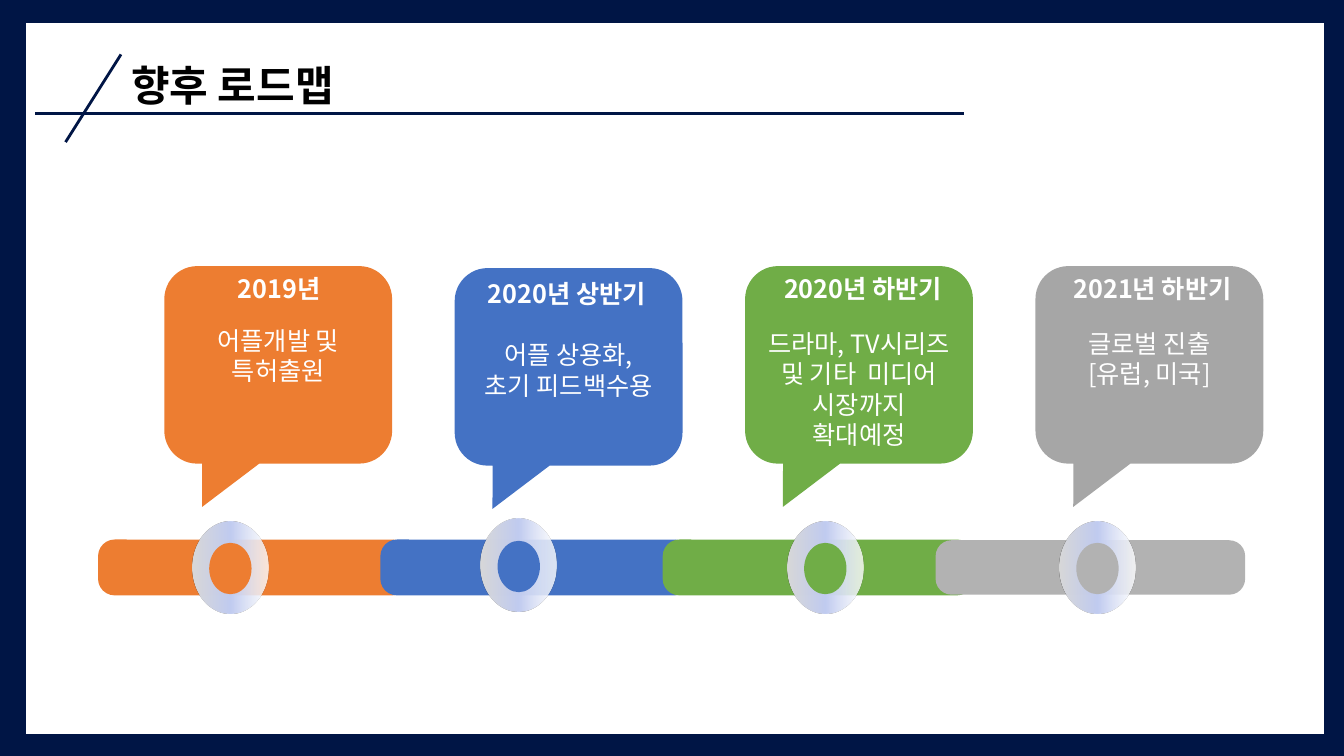
from dataclasses import dataclass
from lxml.etree import SubElement
from pptx import Presentation
from pptx.dml.color import RGBColor
from pptx.enum.shapes import MSO_CONNECTOR as Connector, MSO_SHAPE as Shape
from pptx.enum.text import MSO_ANCHOR as Anchor, PP_ALIGN as Align
from pptx.oxml import parse_xml
from pptx.oxml.ns import nsdecls, qn
from pptx.util import Inches, Pt

TITLE = "향후 로드맵"
STAGES = [
    dict(period="2019년", plan=["어플개발 및", "특허출원"], color="ED7D31", bar_color="ED7D31",
         bar_left=0.98, ring_left=1.91, shift=0, period_at=(1.76, 2.66), plan_top=3.18, outlined=True),
    dict(period="2020년 상반기", plan=["어플 상용화,", "초기 피드백수용"], color="4472C4", bar_color="4472C4",
         bar_left=3.78, ring_left=4.77, shift=-0.02, period_at=(4.61, 2.71), plan_top=3.32, outlined=True),
    dict(period="2020년 하반기", plan=["드라마, TV시리즈", "및 기타  미디어 시장까지", "확대예정"],
         color="70AD47", bar_color="70AD47",
         bar_left=6.58, ring_left=7.81, shift=0, period_at=(7.55, 2.66), plan_top=3.21, outlined=True),
    dict(period="2021년 하반기", plan=["글로벌 진출", "[유럽, 미국]"], color="A6A6A6", bar_color="B2B2B2",
         bar_left=9.28, ring_left=10.51, shift=0, period_at=(10.42, 2.66), plan_top=3.21, outlined=False),
]
RULES = [(9.56, 1.13, 0.35, 1.13), (0.65, 1.41, 1.2, 0.54)]
WIDTH, HEIGHT = 13.33, 7.5
CALLOUT_LEFT, CALLOUT_PITCH, CALLOUT_TOP = 1.63, 2.88, 2.64
CALLOUT_SIZE = (2.26, 1.96)
BAR_TOP, BAR_SIZE = 5.36, (3.07, 0.54)
RING_TOP, RING_SIZE, HOLE_SIZE = 5.17, (0.75, 0.92), (0.42, 0.51)


@dataclass(frozen=True)
class Theme:
    navy: str = "001545"
    white: str = "FFFFFF"
    black: str = "000000"
    ring: tuple = ((0, "D9D9D9", 100), (50, "C0CBF0", 100), (100, "FFFFFF", 80))
    font: str = "Noto Sans CJK KR"
    title_size: int = 30
    text_size: int = 18


theme = Theme()


def rgb(color):
    return RGBColor.from_string(color)


def write_text(shape, lines, size=theme.text_size, color=theme.white, bold=False, align=Align.CENTER):
    frame = shape.text_frame
    frame.word_wrap = True
    frame.vertical_anchor = Anchor.TOP
    frame.text = "\n".join(lines)
    for paragraph in frame.paragraphs:
        paragraph.alignment = align
        paragraph.line_spacing = 1.0
        paragraph.space_before = Pt(0)
        for run in paragraph.runs:
            run.font.size = Pt(size)
            run.font.bold = bold
            run.font.color.rgb = rgb(color)
            run.font.name = theme.font
            east_asian = SubElement(run.font._element, qn("a:ea"))
            east_asian.set("typeface", theme.font)


def add_text(slide, left, top, width, height, lines, **style):
    box = slide.shapes.add_textbox(*map(Inches, (left, top, width, height)))
    write_text(box, lines, **style)


def add_block(slide, kind, left, top, size, color, adjustments=(), outlined=False):
    shape = slide.shapes.add_shape(kind, *map(Inches, (left, top, *size)))
    shape.shadow.inherit = False
    shape.fill.solid()
    shape.fill.fore_color.rgb = rgb(color)
    for index, value in enumerate(adjustments):
        shape.adjustments[index] = value
    if outlined:
        shape.line.color.rgb = rgb(color)
        shape.line.width = Pt(1)
    else:
        shape.line.fill.background()
    return shape


def apply_gradient(shape, stops):
    marks = "".join(
        f'<a:gs pos="{place * 1000}"><a:srgbClr val="{color}"><a:alpha val="{alpha * 1000}"/></a:srgbClr></a:gs>'
        for place, color, alpha in stops)
    gradient = parse_xml(f'<a:gradFill {nsdecls("a")} rotWithShape="1"><a:gsLst>{marks}</a:gsLst>'
                         '<a:lin ang="0" scaled="0"/></a:gradFill>')
    properties = shape._element.spPr
    properties.replace(properties.find(qn("a:solidFill")), gradient)


def add_rule(slide, ends):
    rule = slide.shapes.add_connector(Connector.STRAIGHT, *map(Inches, ends))
    rule.line.color.rgb = rgb(theme.navy)
    rule.line.width = Pt(2)
    SubElement(rule._element.spPr, qn("a:effectLst"))


def add_frame(slide):
    slide.background.fill.solid()
    slide.background.fill.fore_color.rgb = rgb(theme.navy)
    panel = add_block(slide, Shape.RECTANGLE, 0.26, 0.23, (12.87, 7.05), theme.white)
    title = slide.shapes.title
    title._element.addprevious(panel._element)
    for ends in RULES:
        add_rule(slide, ends)
    title.left, title.top, title.width, title.height = map(Inches, (1.2, 0.54, 8.67, 0.61))
    write_text(title, [TITLE], size=theme.title_size, color=theme.black, bold=True, align=Align.LEFT)


def add_ring(slide, stage):
    left, top = stage["ring_left"], RING_TOP + stage["shift"]
    ring = add_block(slide, Shape.OVAL, left, top, RING_SIZE, theme.white)
    apply_gradient(ring, theme.ring)
    inset_x, inset_y = ((outer - inner) / 2 for outer, inner in zip(RING_SIZE, HOLE_SIZE))
    add_block(slide, Shape.OVAL, left + inset_x, top + inset_y + 0.01, HOLE_SIZE, stage["bar_color"])


def add_callout(slide, column, stage):
    left = CALLOUT_LEFT + column * CALLOUT_PITCH
    add_block(slide, Shape.ROUNDED_RECTANGULAR_CALLOUT, left, CALLOUT_TOP - stage["shift"],
              CALLOUT_SIZE, stage["color"], (-0.334, 0.719, 0.167))
    add_text(slide, *stage["period_at"], 2.02, 0.4, [stage["period"]], bold=True)
    plan_height = 0.1 + 0.3 * (len(stage["plan"]) + 1)
    add_text(slide, left, stage["plan_top"], CALLOUT_SIZE[0], plan_height, stage["plan"])


def main():
    presentation = Presentation()
    presentation.slide_width, presentation.slide_height = Inches(WIDTH), Inches(HEIGHT)
    slide = presentation.slides.add_slide(presentation.slide_layouts.get_by_name("Title Only"))
    add_frame(slide)
    for stage in STAGES:
        add_block(slide, Shape.ROUNDED_RECTANGLE, stage["bar_left"], BAR_TOP, BAR_SIZE,
                  stage["bar_color"], (0.292,), stage["outlined"])
    for column, stage in enumerate(STAGES):
        add_ring(slide, stage)
        add_callout(slide, column, stage)
    presentation.save("out.pptx")


if __name__ == "__main__":
    main()
